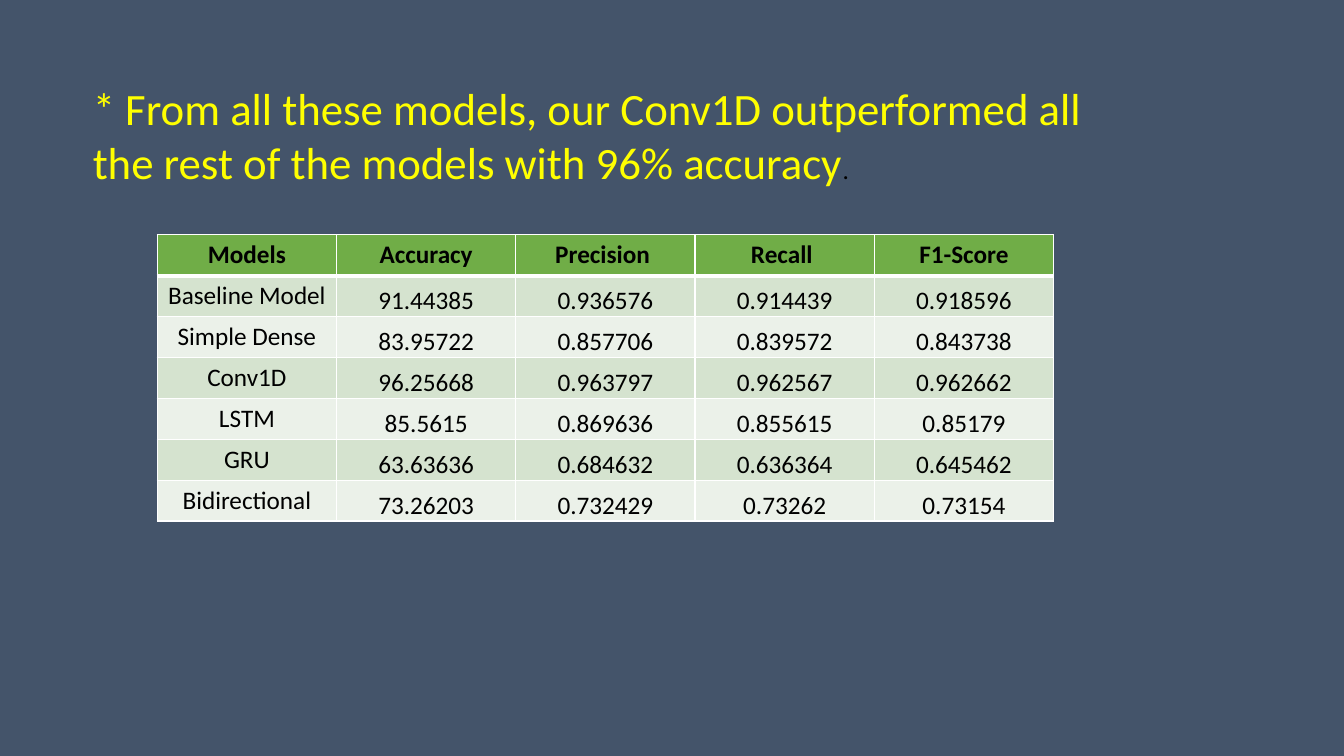
from lxml.etree import SubElement
from pptx import Presentation
from pptx.dml.color import RGBColor
from pptx.enum.text import MSO_ANCHOR as Anchor, MSO_AUTO_SIZE as AutoSize, PP_ALIGN as Align
from pptx.oxml.ns import qn
from pptx.util import Inches, Pt

SLATE = RGBColor(0x44, 0x54, 0x6A)
YELLOW = RGBColor(0xFF, 0xFF, 0x00)
BLACK = RGBColor(0x00, 0x00, 0x00)
WHITE = RGBColor(0xFF, 0xFF, 0xFF)
GREEN = RGBColor(0x70, 0xAD, 0x47)
BANDS = [RGBColor(0xEB, 0xF1, 0xE9), RGBColor(0xD5, 0xE3, 0xCF)]
FONT = "Calibri"

SCORES = [
    ["Models", "Accuracy", "Precision ", "Recall ", "F1-Score"],
    ["Baseline Model", "91.44385", "0.936576", "0.914439", "0.918596"],
    ["Simple Dense", "83.95722", "0.857706", "0.839572", "0.843738"],
    ["Conv1D", "96.25668", "0.963797", "0.962567", "0.962662"],
    ["LSTM", "85.5615", "0.869636", "0.855615", "0.85179"],
    ["GRU", "63.63636", "0.684632", "0.636364", "0.645462"],
    ["Bidirectional", "73.26203", "0.732429", "0.73262", "0.73154"],
]


def add_span(para, text, size, color, bold=False):
    span = para.add_run()
    span.text = text
    span.font.name = FONT
    span.font.size = Pt(size)
    span.font.bold = bold
    span.font.color.rgb = color


def add_border(cell, side, width):
    line = SubElement(cell._tc.get_or_add_tcPr(), qn(f"a:{side}"), w=str(Pt(width)))
    fill = SubElement(line, qn("a:solidFill"))
    SubElement(fill, qn("a:srgbClr"), val=str(WHITE))


deck = Presentation()
deck.slide_width = Inches(13.33)
deck.slide_height = Inches(7.5)
page = deck.slides.add_slide(deck.slide_layouts[5])
page.background.fill.solid()
page.background.fill.fore_color.rgb = SLATE

title = page.shapes.title
title.left, title.top = Inches(0.82), Inches(0.75)
title.width, title.height = Inches(10.69), Inches(1.18)
frame = title.text_frame
frame.word_wrap = True
frame.auto_size = AutoSize.SHAPE_TO_FIT_TEXT
frame.vertical_anchor = Anchor.TOP
para = frame.paragraphs[0]
para.alignment = Align.LEFT
add_span(para, "* From all these models, our Conv1D outperformed all "
               "the rest of the models with 96% accuracy", 32, YELLOW)
add_span(para, ".", 18, BLACK)

table = page.shapes.add_table(len(SCORES), len(SCORES[0]), Inches(1.56), Inches(2.33),
                              Inches(8.89), Inches(2.84)).table
for r, row in enumerate(SCORES):
    for c, text in enumerate(row):
        cell = table.cell(r, c)
        header = r == 0
        for side in ("lnL", "lnR", "lnT", "lnB"):
            under_header = (r, side) in [(0, "lnB"), (1, "lnT")]
            add_border(cell, side, 3 if under_header else 1)
        cell.fill.solid()
        cell.fill.fore_color.rgb = GREEN if header else BANDS[r % 2]
        if not header and c > 0:
            cell.vertical_anchor = Anchor.BOTTOM
            cell.margin_left = cell.margin_right = cell.margin_top = Inches(0.01)
            cell.margin_bottom = 0
        para = cell.text_frame.paragraphs[0]
        para.alignment = Align.CENTER
        add_span(para, text, 18, BLACK, header)

deck.save("out.pptx")
